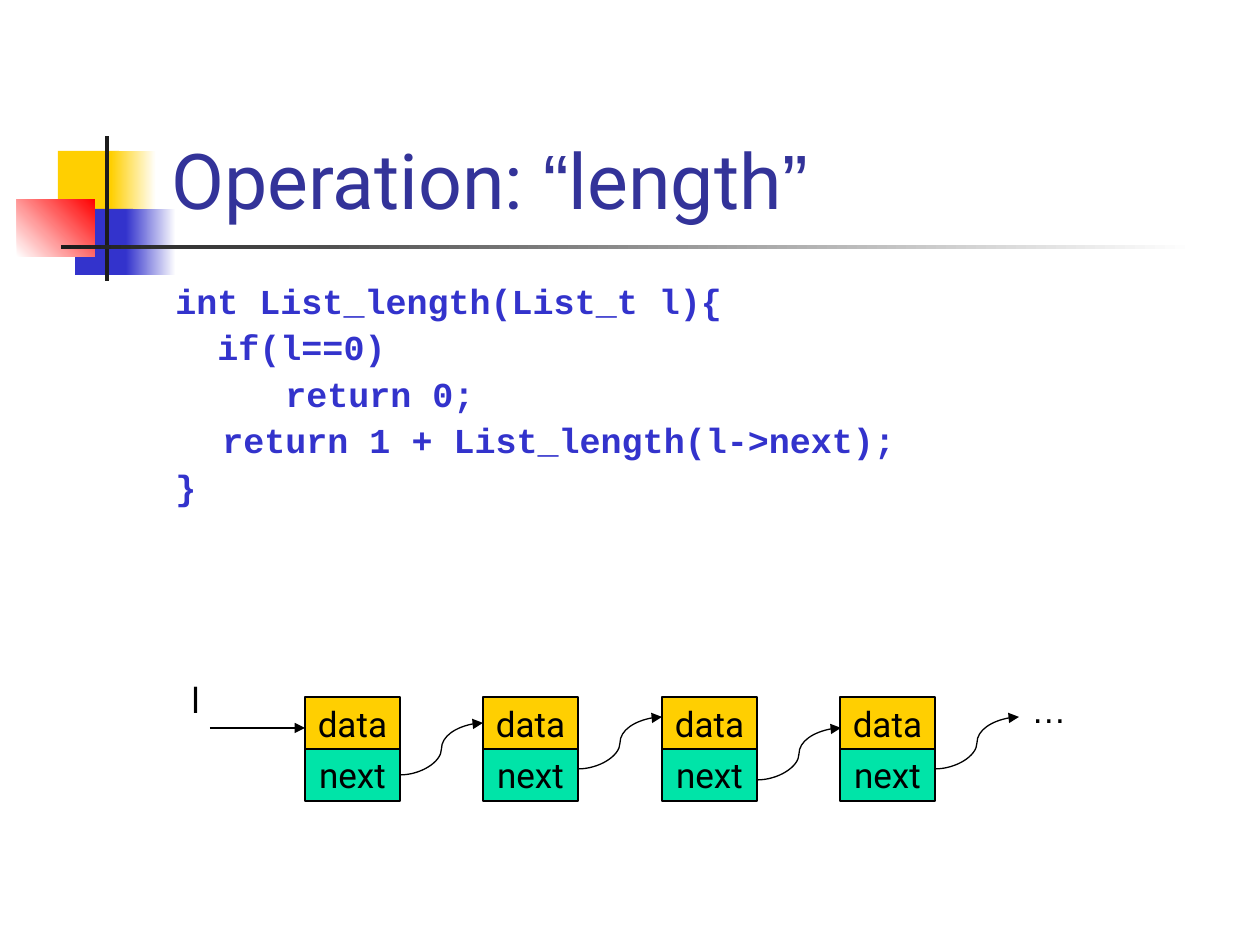
from dataclasses import dataclass

from lxml import etree
from pptx import Presentation
from pptx.dml.color import RGBColor
from pptx.enum.shapes import MSO_CONNECTOR, MSO_SHAPE
from pptx.enum.text import MSO_ANCHOR, MSO_AUTO_SIZE, PP_ALIGN
from pptx.oxml.ns import qn
from pptx.util import Emu, Pt

RECTANGLE = MSO_SHAPE.RECTANGLE
STRAIGHT, CURVE = MSO_CONNECTOR.STRAIGHT, MSO_CONNECTOR.CURVE
BOTTOM, MIDDLE = MSO_ANCHOR.BOTTOM, MSO_ANCHOR.MIDDLE
CENTER = PP_ALIGN.CENTER
FIT_SHAPE = MSO_AUTO_SIZE.SHAPE_TO_FIT_TEXT
LEFT_SIDE, RIGHT_SIDE = 1, 3
PX_PER_INCH = 126


@dataclass(frozen=True)
class Theme:
    """Colours, fonts and type sizes of the slide."""
    yellow: str = "FFCF01"
    blue: str = "3333CC"
    red: str = "FF0000"
    green: str = "00E4A8"
    dark: str = "1C1C1C"
    white: str = "FFFFFF"
    black: str = "000000"
    title: str = "333399"
    sans: str = "Roboto"
    symbol: str = "Arial"
    mono: str = "Courier New"
    title_size: int = 44
    text_size: int = 20
    code_gap: int = 5
    line_width: float = 0.75


THEME = Theme()
CODE = [
    "int List_length(List_t l){",
    "  if(l==0)",
    "\t\treturn 0;",
    "\treturn 1 + List_length(l->next);",
    "}",
]


def px(length):
    """Turn whole pixels into EMU."""
    return Emu(round(length * 914400 / PX_PER_INCH))


def rgb(color):
    """Turn a hex string into a colour."""
    return RGBColor.from_string(color)


def add_run(paragraph, text, size, font, color, bold=False):
    """Add one styled run to a paragraph."""
    run = paragraph.add_run()
    run.text = text
    run.font.size = Pt(size)
    run.font.name = font
    run.font.bold = bold
    run.font.color.rgb = rgb(color)


def add_block(slide, box, color, end_color=None, angle=0):
    """Add a borderless rectangle with a solid or two-colour fill."""
    shape = slide.shapes.add_shape(RECTANGLE, *map(px, box))
    shape.shadow.inherit = False
    shape.line.fill.background()
    if end_color is None:
        shape.fill.solid()
        shape.fill.fore_color.rgb = rgb(color)
    else:
        shape.fill.gradient()
        shape.fill.gradient_angle = angle
        for stop, stop_color in zip(shape.fill.gradient_stops, (color, end_color)):
            stop.color.rgb = rgb(stop_color)


def add_text_frame(slide, box):
    """Add a wrapping text box and return its text frame."""
    frame = slide.shapes.add_textbox(*map(px, box)).text_frame
    frame.word_wrap = True
    return frame


def add_ornament(slide, left, top):
    """Draw the coloured squares and the crossing bars."""
    blocks = [
        ((41, 15, 61, 66), THEME.yellow, None, 0),
        ((94, 15, 45, 66), THEME.yellow, THEME.white, 0),
        ((58, 73, 58, 66), THEME.blue, None, 0),
        ((109, 73, 50, 66), THEME.blue, THEME.white, 0),
        ((0, 63, 78, 58), THEME.white, THEME.red, 45),
        ((88, 0, 4, 145), THEME.dark, None, 0),
        ((44, 109, 1134, 4), THEME.dark, THEME.white, 0),
    ]
    for (x, y, width, height), color, end_color, angle in blocks:
        add_block(slide, (left + x, top + y, width, height), color, end_color, angle)


def add_title(slide, box):
    """Write the title at the bottom of its box."""
    frame = add_text_frame(slide, box)
    frame.vertical_anchor = BOTTOM
    parts = [("Operation: ", THEME.sans), ("“", THEME.symbol),
             ("length", THEME.sans), ("”", THEME.symbol)]
    for text, font in parts:
        add_run(frame.paragraphs[0], text, THEME.title_size, font, THEME.title)


def add_code(slide, box):
    """Write the code with one paragraph per line."""
    frame = add_text_frame(slide, box)
    for index, line in enumerate(CODE):
        paragraph = frame.add_paragraph() if index else frame.paragraphs[0]
        properties = paragraph._p.get_or_add_pPr()
        properties.set("marL", str(px(47)))
        properties.set("indent", str(-px(47)))
        paragraph.line_spacing = 0.9
        if index:
            paragraph.space_before = Pt(THEME.code_gap)
        add_run(paragraph, line, THEME.text_size, THEME.mono, THEME.blue, bold=True)


def add_cell(slide, box, text, color):
    """Add one labelled field of a list node."""
    shape = slide.shapes.add_shape(RECTANGLE, *map(px, box))
    shape.shadow.inherit = False
    shape.fill.solid()
    shape.fill.fore_color.rgb = rgb(color)
    shape.line.color.rgb = rgb(THEME.black)
    shape.line.width = Pt(THEME.line_width)
    frame = shape.text_frame
    frame.word_wrap = False
    frame.vertical_anchor = MIDDLE
    paragraph = frame.paragraphs[0]
    paragraph.alignment = CENTER
    add_run(paragraph, text, THEME.text_size, THEME.sans, THEME.black)
    return shape


def add_arrow(slide, kind, start, end):
    """Add a thin connector with a triangle at its end."""
    arrow = slide.shapes.add_connector(kind, *map(px, start + end))
    arrow.line.color.rgb = rgb(THEME.black)
    arrow.line.width = Pt(THEME.line_width)
    line = arrow.line._get_or_add_ln()
    etree.SubElement(line, qn("a:tailEnd"), type="triangle")
    etree.SubElement(arrow._element.spPr, qn("a:effectLst"))
    return arrow


def add_label(slide, box, text, font, wrap):
    """Add a plain label whose box fits its text."""
    frame = add_text_frame(slide, box)
    frame.word_wrap = wrap
    frame.auto_size = FIT_SHAPE
    add_run(frame.paragraphs[0], text, THEME.text_size, font, THEME.black)


def add_linked_list(slide, left, top):
    """Draw the list nodes, their links and the end labels."""
    width, height, gap = 95, 52, 84
    arrow_shifts = [0, -6, 5, -6]
    node_lefts = [left + 126 + index * 357 // 2 for index in range(4)]
    data_top, next_top = top + 25, top + 25 + height
    nodes = [(add_cell(slide, (x, data_top, width, height), "data", THEME.yellow),
              add_cell(slide, (x, next_top, width, height), "next", THEME.green))
             for x in node_lefts]
    add_arrow(slide, STRAIGHT, (left + 31, top + 56), (node_lefts[0], top + 56))
    add_label(slide, (left, top, 34, 54), "l", THEME.sans, False)
    for index, shift in enumerate(arrow_shifts):
        x = node_lefts[index] + width
        start = (x, next_top + height // 2 + shift)
        end = (x + gap, data_top + height // 2 + shift)
        arrow = add_arrow(slide, CURVE, start, end)
        if shift == 0:
            arrow.begin_connect(nodes[index][1], RIGHT_SIDE)
            arrow.end_connect(nodes[index + 1][0], LEFT_SIDE)
    add_label(slide, (left + 840, top + 10, 94, 54), "…", THEME.symbol, True)


def main():
    """Build the slide and save it."""
    presentation = Presentation()
    presentation.slide_width, presentation.slide_height = px(1260), px(945)
    slide = presentation.slides.add_slide(presentation.slide_layouts[6])
    add_ornament(slide, 17, 136)
    add_title(slide, (159, 29, 1074, 202))
    add_code(slide, (163, 278, 1071, 567))
    add_linked_list(slide, 179, 672)
    presentation.save("out.pptx")


if __name__ == "__main__":
    main()
